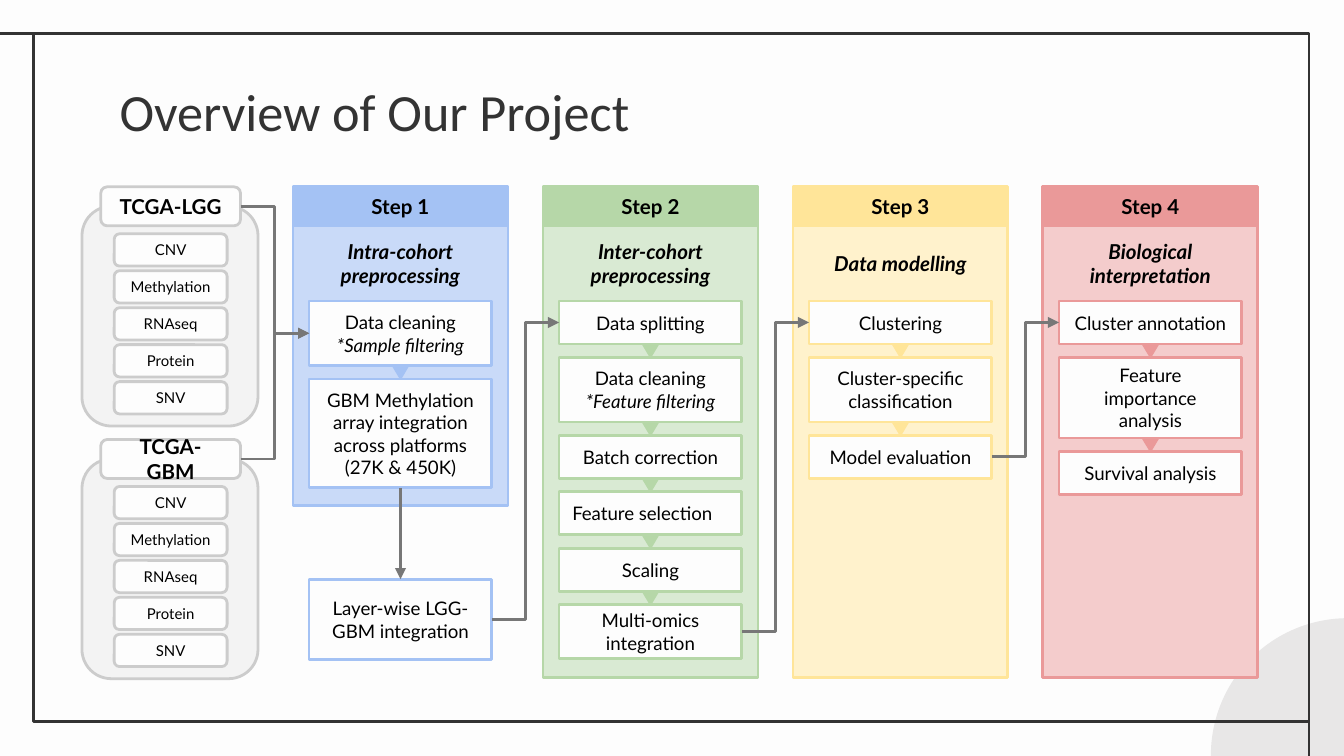
from lxml import etree
from pptx import Presentation, util as u
from pptx.dml.color import RGBColor
from pptx.enum import shapes, text
from pptx.oxml.ns import qn

WIDE = 10
HIGH = WIDE * 9 / 16
TOP, HEAD, FOOT = 1.39, 0.29, 5.04
LEFT, PITCH, COL = 2.18, 1.86, 1.6
PAD, GAP, ROW = 0.12, 0.1, 0.32
WHITE, INK, GREY = "FDFDFD", "333333", "777777"
KIND = shapes.MSO_SHAPE
SIDE = {"top": 0, "left": 1, "bottom": 2, "right": 3}

STEPS = [
    ("Step 1", "Intra-cohort preprocessing", "A4C2F4", "C9DAF8", 3.76,
     [("Data cleaning\n*Sample filtering", 0.48),
      ("GBM Methylation array integration across platforms (27K & 450K)", 0.81)]),
    ("Step 2", "Inter-cohort preprocessing", "B6D7A8", "D9EAD3", FOOT,
     [("Data splitting", ROW), ("Data cleaning\n*Feature filtering", 0.48),
      ("Batch correction", ROW), ("Feature selection", ROW),
      ("Scaling", ROW), ("Multi-omics integration", 0.4)]),
    ("Step 3", "Data modelling", "FFE599", "FFF2CC", FOOT,
     [("Clustering", ROW), ("Cluster-specific classification", 0.48),
      ("Model evaluation", ROW)]),
    ("Step 4", "Biological interpretation", "EA9999", "F4CCCC", FOOT,
     [("Cluster annotation", ROW), ("Feature importance analysis", 0.6),
      ("Survival analysis", ROW)]),
]
OMICS = ["CNV", "Methylation", "RNAseq", "Protein", "SNV"]


def tint(code):
    """Turn a hex string into a colour."""
    return RGBColor.from_string(code)


def write(shape, words, size=10, font="Lato", color="000000", bold=False,
          slant=False, align="CENTER", anchor="MIDDLE"):
    """Fill a shape with text; lines that start with * are italic."""
    frame = shape.text_frame
    frame.word_wrap = True
    frame.auto_size = text.MSO_AUTO_SIZE.NONE
    frame.vertical_anchor = text.MSO_ANCHOR[anchor]
    frame.margin_left = frame.margin_right = u.Inches(0.1)
    frame.margin_top = frame.margin_bottom = u.Inches(0.1)
    for i, line in enumerate(words.split("\n")):
        para = frame.add_paragraph() if i else frame.paragraphs[0]
        para.alignment = text.PP_ALIGN[align]
        run = para.add_run()
        run.text = line
        run.font.size, run.font.name = u.Pt(size), font
        run.font.bold = bold
        run.font.italic = slant or line.startswith("*")
        run.font.color.rgb = tint(color)


def draw(slide, kind, box, fill=None, line=None, width=1.5, words="", **form):
    """Add a shape in a box, with text if there is any."""
    shape = slide.shapes.add_shape(kind, *map(u.Inches, box))
    shape.shadow.inherit = False
    if fill:
        shape.fill.solid()
        shape.fill.fore_color.rgb = tint(fill)
    else:
        shape.fill.background()
    if line:
        shape.line.color.rgb = tint(line)
        shape.line.width = u.Pt(width)
    else:
        shape.line.fill.background()
    if words:
        write(shape, words, **form)
    return shape


def stroke(slide, kind, ends, color):
    """Add a plain line between two points."""
    wire = slide.shapes.add_connector(kind, *map(u.Inches, ends))
    wire.line.color.rgb = tint(color)
    wire.line.width = u.Pt(1.5)
    etree.SubElement(wire._element.spPr, qn("a:effectLst"))
    return wire


def link(slide, start, end, out="right", into="left", kind="ELBOW"):
    """Join two shapes with an arrow."""
    wire = stroke(slide, shapes.MSO_CONNECTOR[kind], (0, 0, 0, 0), GREY)
    wire.begin_connect(start, SIDE[out])
    wire.end_connect(end, SIDE[into])
    etree.SubElement(wire.line._get_or_add_ln(), qn("a:tailEnd"), type="triangle")


def frame(slide, x, y, w, h):
    """Draw the page border, its two tails and the corner disc."""
    draw(slide, KIND.OVAL, (9.01, 4.6, 2.04, 2.04), "E8E7E7")
    draw(slide, KIND.RECTANGLE, (x, y, w, h), None, INK)
    straight = shapes.MSO_CONNECTOR.STRAIGHT
    stroke(slide, straight, (0, y, x, y), INK)
    stroke(slide, straight, (x + w, y + h, x + w, HIGH), INK)


def cohort(slide, x, y, w, h, name):
    """Draw a cohort with its data layers and return its name tab."""
    edge = "CCCCCC"
    draw(slide, KIND.ROUNDED_RECTANGLE, (x, y + HEAD / 2, w, h - HEAD / 2),
         "F3F3F3", edge)
    tab = draw(slide, KIND.ROUNDED_RECTANGLE, (x + 0.14, y, w - 0.27, HEAD),
               WHITE, edge, words=name, size=11, bold=True)
    pitch = 1.1 / (len(OMICS) - 1)
    for i, layer in enumerate(OMICS):
        draw(slide, KIND.ROUNDED_RECTANGLE,
             (x + 0.24, y + 0.35 + i * pitch, 0.84, 0.24),
             WHITE, edge, words=layer, size=8)
    return tab


def step(slide, x, y, w, h, name, goal, dark, pale, tasks):
    """Draw a step column and return its task boxes."""
    draw(slide, KIND.RECTANGLE, (x, y + HEAD, w, h - HEAD), pale, dark)
    draw(slide, KIND.RECTANGLE, (x, y, w, HEAD), dark, dark,
         words=name, size=11, bold=True)
    label = slide.shapes.add_textbox(*map(u.Inches, (x, y + 0.37, w, 0.4)))
    write(label, goal, size=11, bold=True, slant=True)
    boxes, down = [], y + 0.85
    for i, (words, tall) in enumerate(tasks):
        if i:
            draw(slide, KIND.ISOSCELES_TRIANGLE,
                 (x + w / 2 - 0.06, down - GAP, 0.12, GAP),
                 dark, dark, 0.75).rotation = 180
        align = "LEFT" if words == "Feature selection" else "CENTER"
        boxes.append(draw(slide, KIND.RECTANGLE, (x + PAD, down, w - 2 * PAD, tall),
                          WHITE, dark, words=words, align=align))
        down += tall + GAP
    return boxes


def main():
    """Build the slide and save it."""
    deck = Presentation()
    deck.slide_width, deck.slide_height = u.Inches(WIDE), u.Inches(HIGH)
    slide = deck.slides.add_slide(deck.slide_layouts[5])
    slide.background.fill.solid()
    slide.background.fill.fore_color.rgb = tint(WHITE)
    frame(slide, 0.25, 0.25, 9.49, 5.12)

    title = slide.shapes.title
    title.left, title.top = u.Inches(0.79), u.Inches(0.49)
    title.width, title.height = u.Inches(8.43), u.Inches(0.63)
    write(title, "Overview of Our Project", size=28, font="Calibri",
          color=INK, align="LEFT", anchor="TOP")

    tabs = [cohort(slide, 0.61, TOP + i * 1.88, 1.31, 1.78, name)
            for i, name in enumerate(["TCGA-LGG", "TCGA-GBM"])]
    cols = [step(slide, LEFT + i * PITCH, TOP, COL, foot - TOP,
                 name, goal, dark, pale, tasks)
            for i, (name, goal, dark, pale, foot, tasks) in enumerate(STEPS)]
    merge = draw(slide, KIND.RECTANGLE, (LEFT + PAD, 4.31, COL - 2 * PAD, 0.6),
                 WHITE, STEPS[0][2], words="Layer-wise LGG-GBM integration")

    for tab in tabs:
        link(slide, tab, cols[0][0])
    link(slide, cols[0][-1], merge, "bottom", "top", "STRAIGHT")
    for start, col in zip([merge, cols[1][-1], cols[2][-1]], cols[1:]):
        link(slide, start, col[0])
    deck.save("out.pptx")


if __name__ == "__main__":
    main()
